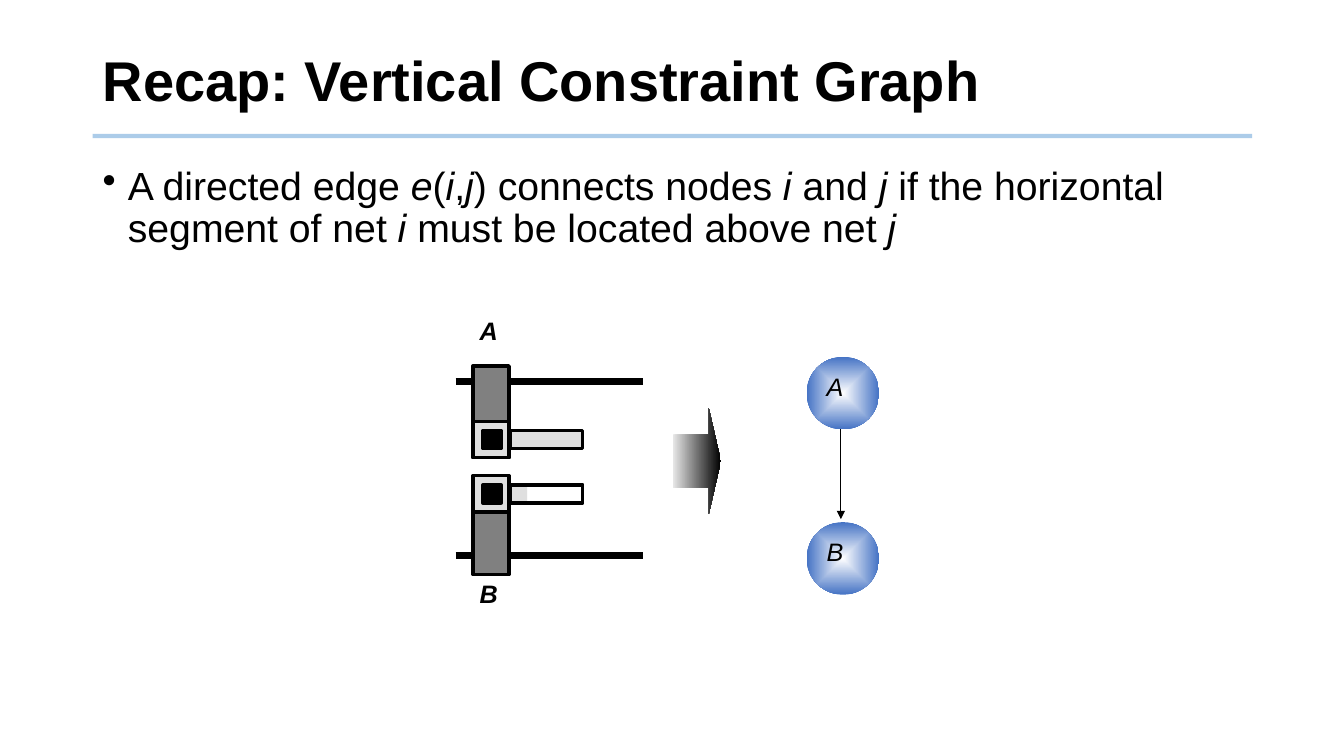
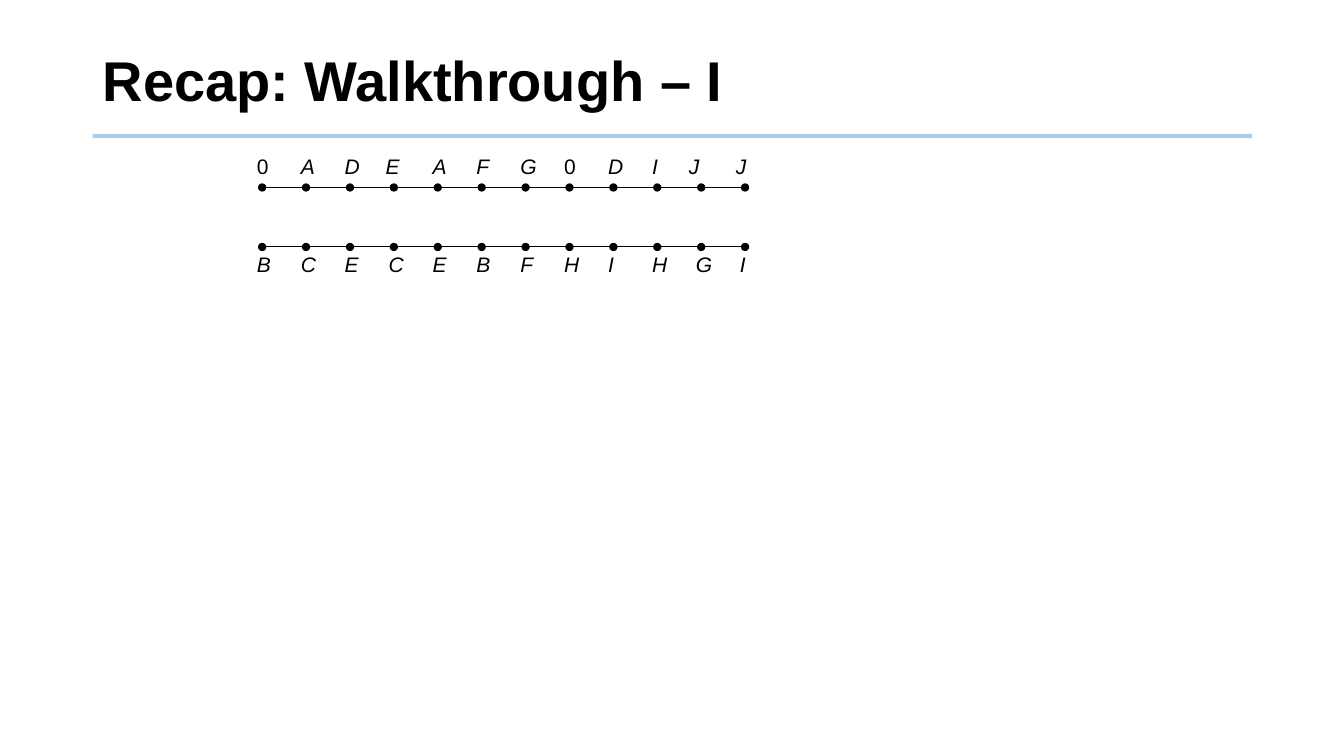
from lxml import etree
from pptx import Presentation
from pptx.dml.color import RGBColor
from pptx.enum.shapes import MSO_CONNECTOR, MSO_SHAPE
from pptx.enum.text import MSO_ANCHOR
from pptx.oxml.ns import qn
from pptx.util import Inches, Pt

BLACK = RGBColor(0x00, 0x00, 0x00)
WHITE = RGBColor(0xFF, 0xFF, 0xFF)
RULE_BLUE = RGBColor(0x5B, 0x9B, 0xD5)
NODE_BLUE = RGBColor(0x44, 0x72, 0xC4)
DARK_GRAY = RGBColor(0x80, 0x80, 0x80)
LIGHT_GRAY = RGBColor(0xDF, 0xDF, 0xDF)
ARROW_GRAY = RGBColor(0xEA, 0xEA, 0xEA)
RECT = MSO_SHAPE.RECTANGLE
OVAL = MSO_SHAPE.OVAL
RIGHT_ARROW = MSO_SHAPE.RIGHT_ARROW
STRAIGHT = MSO_CONNECTOR.STRAIGHT
TOP = MSO_ANCHOR.TOP
MIDDLE = MSO_ANCHOR.MIDDLE
FONT = "Arial"
LEFT, WIDTH = 0.92, 11.5


def add_xml(parent, tag, **attrs):
    return etree.SubElement(parent, qn(tag), attrs)


class Deck:
    def __init__(self):
        self.prs = Presentation()
        self.prs.slide_width = Inches(13.33)
        self.prs.slide_height = Inches(7.5)
        self.s = None

    def slide(self, title):
        self.s = self.prs.slides.add_slide(self.prs.slide_layouts[6])
        self.line(LEFT, 1.35, LEFT + WIDTH, 1.35, 3, RULE_BLUE, alpha=50)
        p = self.text(title, LEFT, 0.28, WIDTH, 1.1, 40, bold=True, anchor=MIDDLE)
        p.line_spacing = 0.9

    def line(self, x1, y1, x2, y2, width, color=BLACK, alpha=None, head=None, tail=None):
        c = self.s.shapes.add_connector(STRAIGHT, Inches(x1), Inches(y1), Inches(x2), Inches(y2))
        c.line.width = Pt(width)
        c.line.color.rgb = color
        ln = c.line._get_or_add_ln()
        if alpha:
            add_xml(ln.find(".//" + qn("a:srgbClr")), "a:alpha", val=str(alpha * 1000))
        for tag, end in (("a:headEnd", head), ("a:tailEnd", tail)):
            if end:
                add_xml(ln, tag, type=end)
        add_xml(c._element.spPr, "a:effectLst")

    def text(self, text, x, y, w, h, size, bold=None, italic=None, anchor=TOP, bullet=False):
        tf = self.s.shapes.add_textbox(Inches(x), Inches(y), Inches(w), Inches(h)).text_frame
        tf.word_wrap = True
        tf.vertical_anchor = anchor
        p = tf.paragraphs[0]
        if bullet:
            pPr = p._p.get_or_add_pPr()
            pPr.set("marL", str(Inches(0.25)))
            pPr.set("indent", str(-Inches(0.25)))
            add_xml(pPr, "a:buChar", char="•")
        p.font.name = FONT
        p.font.size = Pt(size)
        p.font.color.rgb = BLACK
        p.font.bold = bold
        p.font.italic = italic
        for i, part in enumerate(text.split("*")):
            r = p.add_run()
            r.text = part
            if i % 2:
                r.font.italic = True
        return p

    def shape(self, kind, x, y, w, h, fill=None, line=None):
        sp = self.s.shapes.add_shape(kind, Inches(x), Inches(y), Inches(w), Inches(h))
        sp.shadow.inherit = False
        if fill is None:
            sp.fill.background()
        else:
            sp.fill.solid()
            sp.fill.fore_color.rgb = fill
        if line is None:
            sp.line.fill.background()
        else:
            sp.line.color.rgb = line
            sp.line.width = Pt(2.5)
        return sp

    def box(self, x, y, w, h, fill=None):
        return self.shape(RECT, x, y, w, h, fill, BLACK)

    def gradient(self, sp, start, end, radial=False):
        sp.fill.gradient()
        sp.fill.gradient_angle = 0
        for stop, color, position in zip(sp.fill.gradient_stops, (start, end), (0, 1)):
            stop.color.rgb = color
            stop.position = position
        if radial:
            grad = sp._element.spPr.find(qn("a:gradFill"))
            grad.remove(grad.find(qn("a:lin")))
            shade = add_xml(grad, "a:path", path="shape")
            add_xml(shade, "a:fillToRect", l="50000", t="50000", r="50000", b="50000")

    def pin(self, name, label_y, track_y, top, height, pad_y, stub_fill):
        x, pad = 4.69, 0.36
        inner_y = pad_y + 0.09
        self.line(4.52, track_y, 6.38, track_y, 5)
        self.text(name, 4.66, label_y, 0.5, 0.5, 18, bold=True, italic=True)
        self.shape(RECT, 5.06, inner_y, stub_fill, 0.18, LIGHT_GRAY)
        self.box(5.06, inner_y, 0.72, 0.18)
        self.box(x, top, pad, height, DARK_GRAY)
        self.box(x, pad_y, pad, pad, LIGHT_GRAY)
        self.box(x + 0.1, inner_y, 0.18, 0.18, BLACK)

    def node(self, name, y):
        sp = self.shape(OVAL, 8, y, 0.72, 0.72)
        self.gradient(sp, WHITE, NODE_BLUE, radial=True)
        self.text(name, 8.1, y + 0.09, 0.72, 0.5, 18, italic=True)

    def terminals(self, names, line_y, label_y, nudges):
        left, right = 2.6, 7.39
        pitch = (right - left) / (len(names) - 1)
        for i, name in enumerate(names):
            x = left + i * pitch
            if i:
                self.line(x - pitch, line_y, x, line_y, 0.75,
                          head="oval" if i == 1 else None, tail="oval")
            self.text(name, x - 0.15 + nudges.get(i, 0), label_y, 0.36, 0.35, 15,
                      italic=name != "0")


def constraint_graph(deck):
    deck.slide("Recap: Vertical Constraint Graph")
    p = deck.text("A directed edge *e*(*i*,*j*) connects nodes *i* and *j* if the horizontal "
                  "segment of net *i* must be located above net *j*",
                  LEFT, 1.6, WIDTH, 5.15, 28, bullet=True)
    p.line_spacing = 0.9
    deck.pin("A", 3.08, 3.78, 3.63, 0.91, 4.18, 0.72)
    deck.pin("B", 5.69, 5.51, 4.72, 0.98, 4.72, 0.17)
    deck.line(8.34, 4.22, 8.34, 5.15, 0.75, tail="triangle")
    deck.node("A", 3.54)
    deck.node("B", 5.18)
    arrow = deck.shape(RIGHT_ARROW, 6.67, 4.05, 0.48, 1.05)
    arrow.adjustments[0] = 0.5
    arrow.adjustments[1] = 0.25
    deck.gradient(arrow, ARROW_GRAY, BLACK)


def walkthrough(deck):
    deck.slide("Recap: Walkthrough – I")
    deck.terminals("0ADEAFG0DIJJ", 1.86, 1.47, {3: -0.03, 10: -0.07, 11: -0.04})
    deck.terminals("BCECEBFHIHGI", 2.45, 2.45, {})


def main():
    deck = Deck()
    constraint_graph(deck)
    walkthrough(deck)
    deck.prs.save("out.pptx")


if __name__ == "__main__":
    main()
